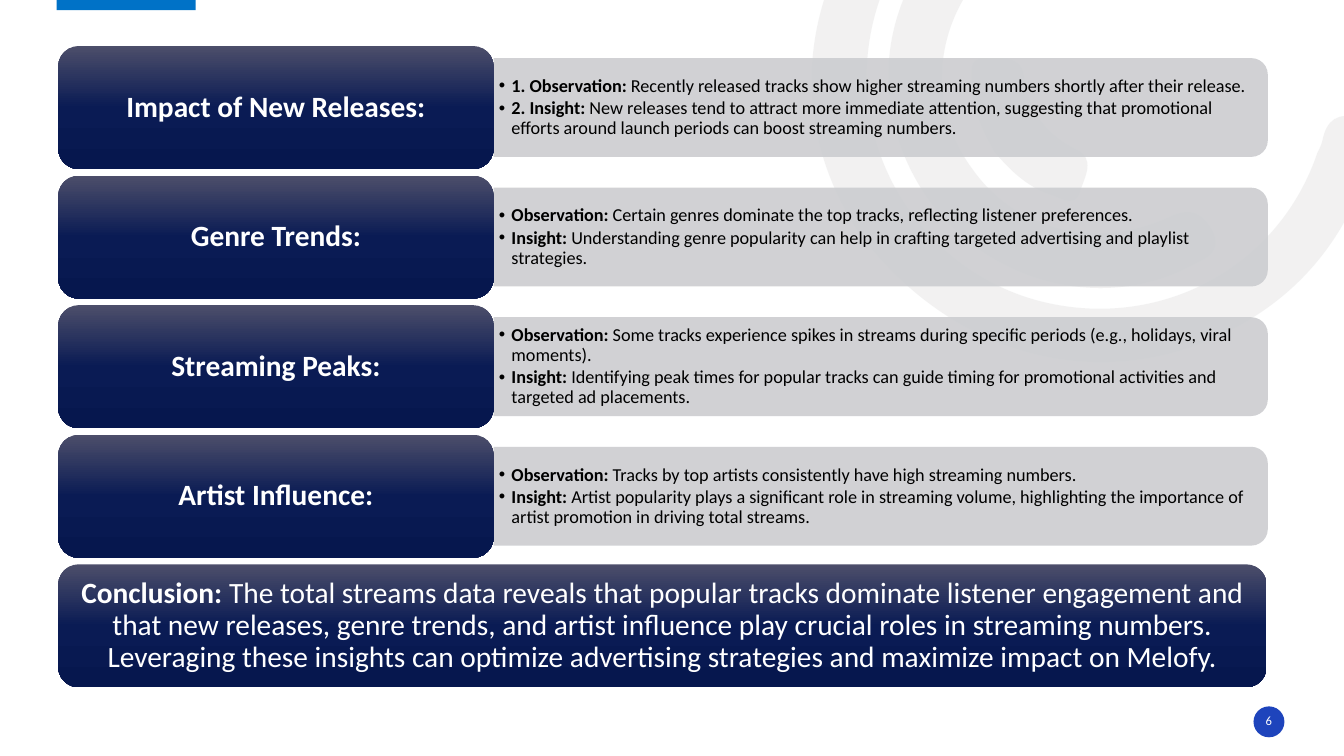
from lxml import etree
from pptx import Presentation
from pptx import util as u
from pptx.dml.color import RGBColor
from pptx.enum import shapes, text
from pptx.oxml import ns

FONT = "Calibri"
CARD_LEFT, CARD_TOP, CARD_HEIGHT = 1.47, 1.16, 3.1
CONCLUSION_TOP, CONCLUSION_WIDTH, LABEL_WIDTH = 14.22, 30.45, 10.97
BAR_LEFT, BAR_WIDTH, BAR_HEIGHT = 12.44, 19.51, 2.49
CARD_STOPS = [(0, "4C4E6A"), (50, "0A1B54"), (100, "06174E")]

FINDINGS = [
    ("Impact of New Releases:", [
        ("1. Observation:", " Recently released tracks show higher streaming numbers "
         "shortly after their release."),
        ("2. Insight:", " New releases tend to attract more immediate attention, suggesting "
         "that promotional efforts around launch periods can boost streaming numbers.")]),
    ("Genre Trends:", [
        ("Observation:", " Certain genres dominate the top tracks, reflecting listener "
         "preferences."),
        ("Insight:", " Understanding genre popularity can help in crafting targeted "
         "advertising and playlist strategies.")]),
    ("Streaming Peaks:", [
        ("Observation:", " Some tracks experience spikes in streams during specific periods "
         "(e.g., holidays, viral moments)."),
        ("Insight:", " Identifying peak times for popular tracks can guide timing for "
         "promotional activities and targeted ad placements.")]),
    ("Artist Influence:", [
        ("Observation:", " Tracks by top artists consistently have high streaming numbers."),
        ("Insight:", " Artist popularity plays a significant role in streaming volume, "
         "highlighting the importance of artist promotion in driving total streams.")]),
]
CONCLUSION = ("Conclusion:", " The total streams data reveals that popular tracks dominate "
              "listener engagement and that new releases, genre trends, and artist influence "
              "play crucial roles in streaming numbers. Leveraging these insights can optimize "
              "advertising strategies and maximize impact on Melofy.")

# Each swirl is a start point followed by Bézier curves, in inches.
SWIRLS = [
    [(8.51, 2.29),
     (7.99, 1.49, 7.87, 0.5, 8.38, -0.5), (8.9, -1.52, 9.76, -2.03, 10.9, -2.07),
     (11.05, -2.07, 11.21, -2.1, 11.31, -1.95), (11.44, -1.75, 11.27, -1.54, 10.98, -1.54),
     (9.67, -1.54, 8.65, -0.59, 8.6, 0.68), (8.56, 1.81, 9.36, 2.81, 10.46, 3.02),
     (11.6, 3.24, 12.7, 2.61, 13.07, 1.52), (13.09, 1.48, 13.11, 1.44, 13.12, 1.4),
     (13.16, 1.19, 13.27, 1.11, 13.49, 1.17), (13.73, 1.24, 13.67, 1.41, 13.61, 1.56),
     (13.34, 2.45, 12.78, 3.07, 11.91, 3.41), (10.7, 3.87, 9.36, 3.45, 8.51, 2.29)],
    [(9.22, 1.99),
     (8.62, 1.15, 8.69, 0.07, 9.4, -0.68), (9.51, -0.79, 9.62, -0.95, 9.8, -0.78),
     (9.95, -0.64, 9.97, -0.5, 9.79, -0.32), (9.25, 0.26, 9.2, 1.08, 9.65, 1.68),
     (10.08, 2.29, 10.88, 2.49, 11.61, 2.15), (11.82, 2.05, 11.93, 2.12, 12.03, 2.29),
     (12.13, 2.5, 11.97, 2.56, 11.83, 2.63), (10.96, 3.1, 9.83, 2.82, 9.22, 1.99)],
    [(9.87, 1.51),
     (9.75, 1.3, 9.64, 1.07, 9.64, 0.82), (9.64, 0.73, 9.61, 0.57, 9.76, 0.58),
     (9.92, 0.59, 10.13, 0.53, 10.16, 0.76), (10.21, 1.1, 10.36, 1.32, 10.67, 1.48),
     (10.88, 1.57, 10.76, 1.76, 10.72, 1.89), (10.68, 2.06, 10.55, 1.98, 10.45, 1.94),
     (10.21, 1.87, 10.03, 1.7, 9.87, 1.51)],
]


def colour(value):
    return RGBColor.from_string(value)


def paint(shape, value, opacity=100):
    shape.shadow.inherit = False
    shape.fill.solid()
    shape.fill.fore_color.rgb = colour(value)
    shape.line.fill.background()
    if opacity < 100:
        for tint in shape.element.xpath("./p:spPr//a:srgbClr"):
            etree.SubElement(tint, ns.qn("a:alpha"), val=str(opacity * 1000))


def paint_gradient(shape, stops):
    shape.shadow.inherit = False
    shape.line.fill.background()
    shape.fill.gradient()
    shape.fill.gradient_angle = 270
    stop_list = shape.element.xpath("./p:spPr/a:gradFill/a:gsLst")[0]
    for stop in list(stop_list):
        stop_list.remove(stop)
    for position, value in stops:
        stop = etree.SubElement(stop_list, ns.qn("a:gs"), pos=str(position * 1000))
        etree.SubElement(stop, ns.qn("a:srgbClr"), val=value)


def add_block(page, kind, left, top, width, height):
    return page.shapes.add_shape(kind, *map(u.Cm, (left, top, width, height)))


def set_frame(frame, side, end):
    frame.word_wrap = True
    frame.auto_size = text.MSO_AUTO_SIZE.NONE
    frame.vertical_anchor = text.MSO_ANCHOR.MIDDLE
    frame.margin_left = frame.margin_right = u.Cm(side)
    frame.margin_top = frame.margin_bottom = u.Cm(end)


def write(para, parts, size, value, align):
    """Fill a paragraph with (text, bold) parts."""
    para.alignment = align
    para.line_spacing = 0.9
    para.space_before = u.Pt(0)
    for words, bold in parts:
        span = para.add_run()
        span.text = words
        span.font.name = FONT
        span.font.size = u.Pt(size)
        span.font.bold = bold
        span.font.color.rgb = colour(value)


def add_bullet(para):
    properties = para._p.get_or_add_pPr()
    properties.set("marL", str(u.Cm(0.32)))
    properties.set("indent", str(u.Cm(-0.32)))
    etree.SubElement(properties, ns.qn("a:buFont"), typeface="Arial")
    etree.SubElement(properties, ns.qn("a:buChar"), char="•")


def add_swirl(page, start, *curves):
    """Outline the control points, then turn every three segments into one curve."""
    builder = page.shapes.build_freeform(*(u.Cm(2.54 * value) for value in start))
    builder.add_line_segments([(u.Cm(2.54 * curve[i]), u.Cm(2.54 * curve[i + 1]))
                               for curve in curves for i in (0, 2, 4)], close=True)
    swirl = builder.convert_to_shape()
    segments = swirl.element.xpath(".//a:lnTo")
    for first in range(0, len(segments), 3):
        bend = etree.Element(ns.qn("a:cubicBezTo"))
        segments[first].addprevious(bend)
        for segment in segments[first:first + 3]:
            bend.append(segment[0])
            segment.getparent().remove(segment)
    paint(swirl, "E7E6E6", 53)


def add_card(page, top, width, parts):
    card = add_block(page, shapes.MSO_SHAPE.ROUNDED_RECTANGLE, CARD_LEFT, top, width, CARD_HEIGHT)
    paint_gradient(card, CARD_STOPS)
    set_frame(card.text_frame, 0.23, 0.11)
    write(card.text_frame.paragraphs[0], parts, 21, "FFFFFF", text.PP_ALIGN.CENTER)


def add_bar(page, top):
    """Draw a bar with its right corners rounded, as a turned upright shape."""
    bar = add_block(page, shapes.MSO_SHAPE.ROUND_2_SAME_RECTANGLE,
                    BAR_LEFT + (BAR_WIDTH - BAR_HEIGHT) / 2,
                    top + (BAR_HEIGHT - BAR_WIDTH) / 2, BAR_HEIGHT, BAR_WIDTH)
    bar.rotation = 90
    paint(bar, "CCCDD0", 90)


def fill_list(page, holder, top, items):
    page.shapes.element.append(holder.element)  # bring in front of its bar
    holder.left, holder.top = u.Cm(BAR_LEFT), u.Cm(top)
    holder.width, holder.height = u.Cm(BAR_WIDTH - 0.13), u.Cm(BAR_HEIGHT)
    frame = holder.text_frame
    set_frame(frame, 0.13, 0.08)
    for index, (lead, rest) in enumerate(items):
        para = frame.add_paragraph() if index else frame.paragraphs[0]
        write(para, [(lead, True), (rest, False)], 13, "000000", text.PP_ALIGN.LEFT)
        para.space_after = u.Pt(2)
        add_bullet(para)


def add_page_number(page, number):
    badge = add_block(page, shapes.MSO_SHAPE.OVAL, 31.59, 17.8, 0.78, 0.78)
    paint(badge, "1E44BC")
    set_frame(badge.text_frame, 0, 0)
    write(badge.text_frame.paragraphs[0], [(number, False)], 9, "FFFFFF", text.PP_ALIGN.CENTER)


def main():
    deck = Presentation()
    deck.slide_width, deck.slide_height = u.Cm(33.87), u.Cm(19.05)
    page = deck.slides.add_slide(deck.slide_layouts.get_by_name("Comparison"))
    title, *lists = page.placeholders
    title.element.getparent().remove(title.element)

    for swirl in SWIRLS:
        add_swirl(page, *swirl)
    paint(add_block(page, shapes.MSO_SHAPE.RECTANGLE, 1.43, -0.05, 3.5, 0.31), "0072C7")
    add_page_number(page, "6")

    step = (CONCLUSION_TOP - CARD_TOP) / len(FINDINGS)
    for row, ((label, items), holder) in enumerate(zip(FINDINGS, lists)):
        top = CARD_TOP + row * step
        bar_top = top + (CARD_HEIGHT - BAR_HEIGHT) / 2
        add_bar(page, bar_top)
        fill_list(page, holder, bar_top, items)
        add_card(page, top, LABEL_WIDTH, [(label, True)])
    lead, rest = CONCLUSION
    add_card(page, CONCLUSION_TOP, CONCLUSION_WIDTH, [(lead, True), (rest, False)])
    deck.save("out.pptx")


if __name__ == "__main__":
    main()
